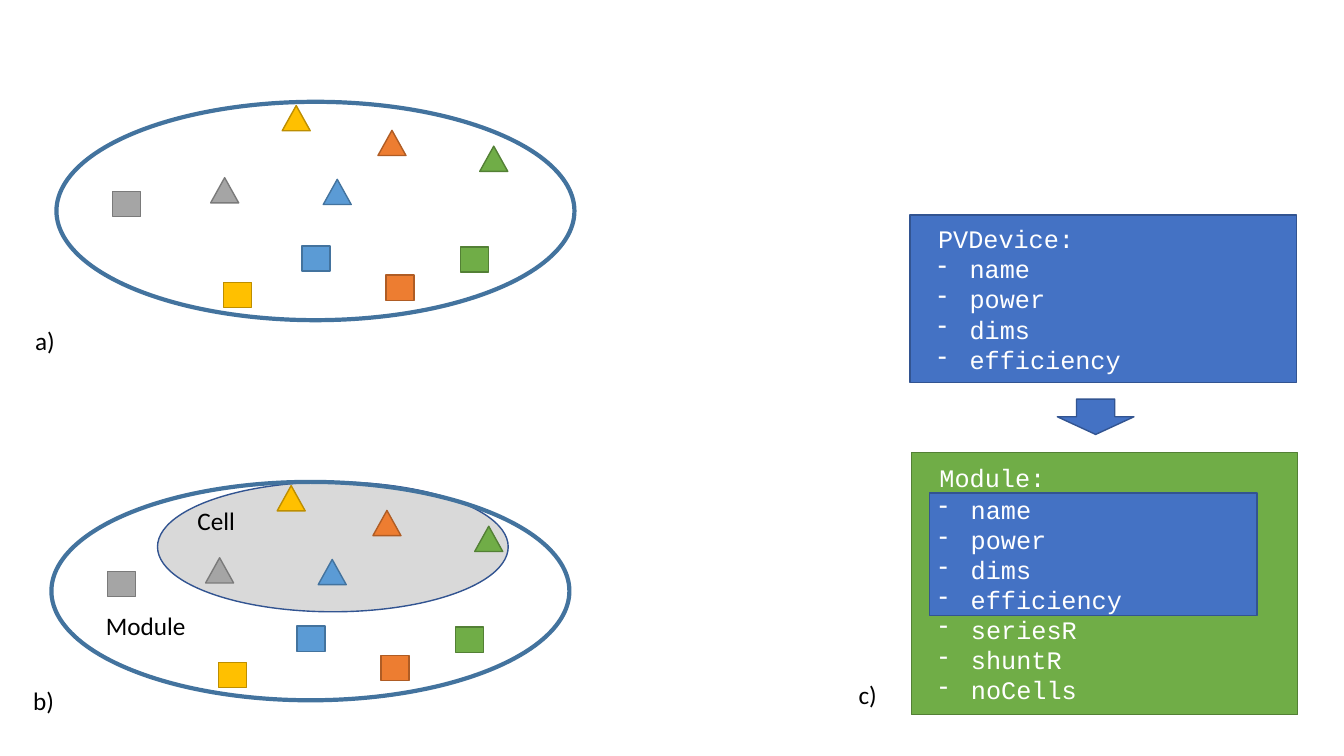
from dataclasses import dataclass

from lxml.etree import SubElement
from pptx import Presentation
from pptx.dml.color import RGBColor
from pptx.enum.shapes import MSO_SHAPE
from pptx.enum.text import MSO_ANCHOR, MSO_AUTO_SIZE, PP_ALIGN
from pptx.oxml.ns import qn
from pptx.util import Pt


@dataclass(frozen=True)
class Theme:
    # Each colour is a (fill, line) pair
    blue = ("4472C4", "325491")
    sky = ("5B9BD5", "43739E")
    green = ("70AD47", "538035")
    orange = ("ED7D31", "AF5C24")
    yellow = ("FFC000", "BD8E00")
    gray = ("A5A5A5", "7A7A7A")
    cell = ("D9D9D9", "325491")
    outline = (None, "43739E")
    black = "000000"
    white = "FFFFFF"
    label_font = "Calibri"
    code_font = "Courier New"
    text_size = 18
    thin = 1
    thick = 3


class Diagram:
    def __init__(self, slide, theme):
        self.slide = slide
        self.theme = theme

    def shape(self, kind, left, top, width, height, colors, line_width=None):
        shape = self.slide.shapes.add_shape(
            kind, Pt(left), Pt(top), Pt(width), Pt(height))
        fill, line = colors
        if fill:
            shape.fill.solid()
            shape.fill.fore_color.rgb = RGBColor.from_string(fill)
        else:
            shape.fill.background()
        shape.line.color.rgb = RGBColor.from_string(line)
        shape.line.width = Pt(line_width or self.theme.thin)
        shape.shadow.inherit = False
        return shape

    def style(self, paragraph, font_name, color):
        paragraph.alignment = PP_ALIGN.LEFT
        paragraph.font.name = font_name
        paragraph.font.size = Pt(self.theme.text_size)
        paragraph.font.color.rgb = RGBColor.from_string(color)

    def bullet(self, paragraph):
        properties = paragraph._p.get_or_add_pPr()
        properties.set("marL", str(Pt(22.5)))
        properties.set("indent", str(Pt(-22.5)))
        SubElement(properties, qn("a:buFontTx"))
        SubElement(properties, qn("a:buChar")).set("char", "-")

    def label(self, text, left, top, width):
        box = self.slide.shapes.add_textbox(
            Pt(left), Pt(top), Pt(width), Pt(29))
        frame = box.text_frame
        frame.word_wrap = False
        frame.auto_size = MSO_AUTO_SIZE.SHAPE_TO_FIT_TEXT
        frame.text = text
        self.style(frame.paragraphs[0], self.theme.label_font, self.theme.black)

    def class_box(self, left, top, width, height, colors, fields,
                  title=None, inset=20):
        shape = self.shape(MSO_SHAPE.RECTANGLE, left, top, width, height, colors)
        frame = shape.text_frame
        frame.word_wrap = True
        frame.vertical_anchor = MSO_ANCHOR.MIDDLE
        frame.margin_left = Pt(inset)
        lines = ([title] if title else []) + fields
        for index, text in enumerate(lines):
            paragraph = frame.add_paragraph() if index else frame.paragraphs[0]
            paragraph.text = text
            if text != title:
                self.bullet(paragraph)
            self.style(paragraph, self.theme.code_font, self.theme.white)

    def parameter_set(self, left, top, markers):
        self.shape(MSO_SHAPE.OVAL, left, top, 370, 156,
                   self.theme.outline, self.theme.thick)
        for kind, colors, x, y in markers:
            self.shape(kind, left + x, top + y, 20, 18, colors)


def main():
    presentation = Presentation()
    presentation.slide_width = Pt(960)
    presentation.slide_height = Pt(540)
    slide = presentation.slides.add_slide(presentation.slide_layouts[6])
    theme = Theme()
    diagram = Diagram(slide, theme)

    # Markers, placed relative to their enclosing ellipse
    triangle, square = MSO_SHAPE.ISOSCELES_TRIANGLE, MSO_SHAPE.RECTANGLE
    markers = [
        (triangle, theme.yellow, 161.3, 2.7),
        (triangle, theme.orange, 229.7, 20.4),
        (triangle, theme.gray, 110.2, 54.2),
        (triangle, theme.sky, 190.6, 55.4),
        (triangle, theme.green, 302.4, 31.7),
        (square, theme.orange, 235.4, 123.8),
        (square, theme.yellow, 119.5, 128.9),
        (square, theme.gray, 40.3, 64.1),
        (square, theme.green, 288.7, 103.7),
        (square, theme.sky, 175.4, 103),
    ]

    # Parts a and b: flat set, then the set with a nested cell
    diagram.shape(MSO_SHAPE.OVAL, 112.5, 344.2, 250.5, 92.8, theme.cell)
    for left, top in [(40.3, 72.7), (36.7, 344.2)]:
        diagram.parameter_set(left, top, markers)
    diagram.label("Cell", 133.9, 357.1, 41.8)
    diagram.label("Module", 68.6, 432.7, 72)

    # Part c: class inheritance
    device_fields = ["name", "power", "dims", "efficiency"]
    module_fields = ["seriesR", "shuntR", "noCells"]
    diagram.class_box(650, 153.7, 276, 119.5, theme.blue,
                      device_fields, "PVDevice:")
    diagram.class_box(651, 323.3, 276, 187.2, theme.green,
                      device_fields + module_fields, "Module:")
    diagram.class_box(663.8, 352.1, 234, 87.8, theme.blue,
                      device_fields, inset=7.2)
    diagram.shape(MSO_SHAPE.DOWN_ARROW, 755.3, 285.1, 54.7, 25.2, theme.blue)

    # Part labels
    diagram.label("a)", 18, 229, 28.8)
    diagram.label("b)", 16.6, 486, 29.5)
    diagram.label("c)", 606.2, 481.7, 28.1)

    presentation.save("out.pptx")


if __name__ == "__main__":
    main()
